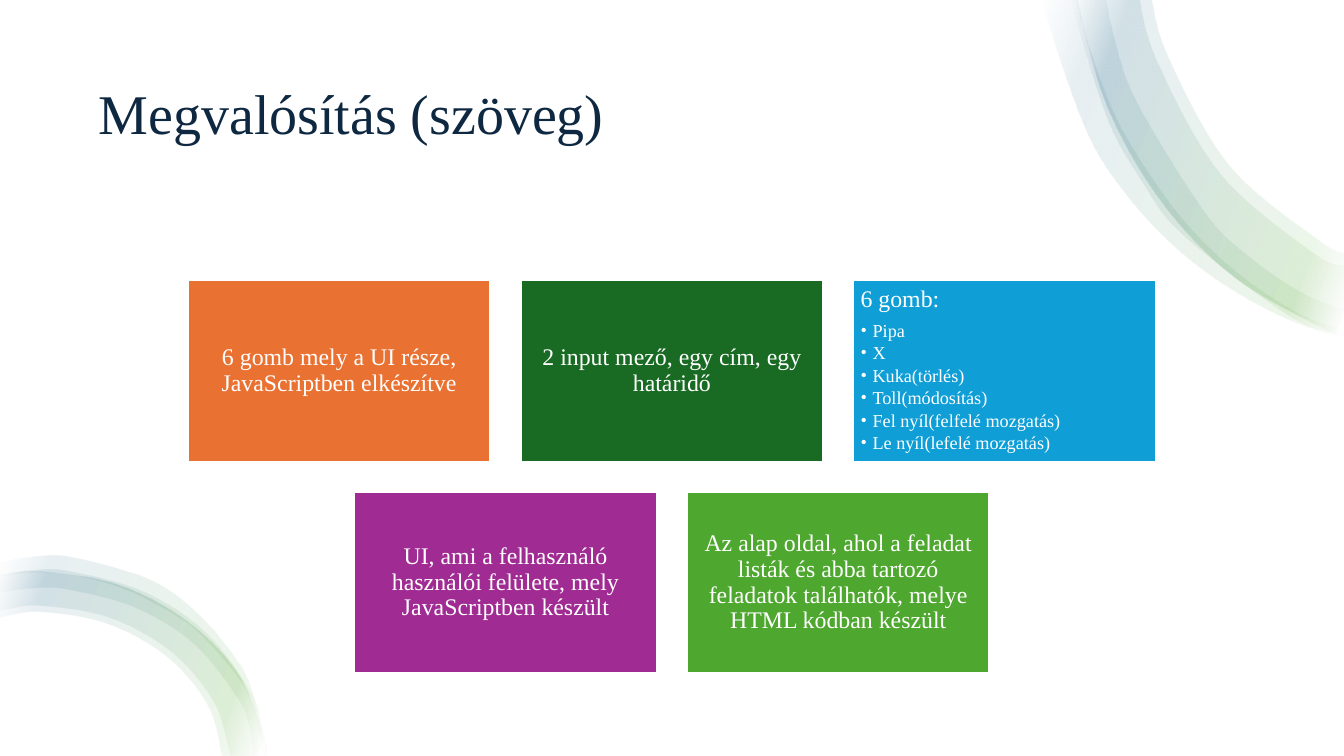
from lxml import etree
from pptx import Presentation
from pptx import util as u
from pptx.dml.color import RGBColor
from pptx.enum import shapes, text
from pptx.oxml import ns

FONT = "Times New Roman"
COLORS = {
    "white": "FFFFFF", "navy": "0E2841", "orange": "E97132", "forest": "196B24",
    "sky": "0F9ED5", "purple": "A02B93", "green": "4EA72E", "teal": "156082",
}
SLIDE = (13.33, 7.5)
RIBBON_STOPS = [(2, "white"), (16, "green"), (85, "teal"), (100, "white")]
RIBBON_OPACITY = 10

# Each ribbon is an outer and an inner edge, both given as knots in inches.
CORNER_OUTER = [(13.33, 3.32), (13.09, 3.24), (12.23, 2.74), (11.52, 2), (10.99, 1.07),
                (10.69, 0.04), (10.67, -0.09)]
TOP_RIBBONS = [
    ([(13.33, 3.35), (12.82, 3.19), (12.21, 2.87), (11.65, 2.45), (11.16, 1.92),
      (10.78, 1.31), (10.41, 0.26), (10.36, -0.09)],
     [(13.33, 3.28), (12.86, 3.1), (12.3, 2.73), (11.81, 2.27), (11.4, 1.73),
      (11.06, 1.15), (10.82, 0.52), (10.73, 0.19), (10.68, -0.09)]),
    (CORNER_OUTER,
     [(13.33, 2.51), (13.07, 2.38), (12.19, 1.64), (11.58, 0.55), (11.41, -0.09)]),
    ([(13.33, 3.33), (12.79, 3.14), (11.73, 2.33), (11.32, 1.79), (10.99, 1.19),
      (10.68, 0.2), (10.63, -0.09)],
     [(13.33, 3.08), (12.9, 2.9), (12.39, 2.55), (11.95, 2.11), (11.29, 1.04),
      (11.07, 0.44), (10.96, -0.09)]),
    (CORNER_OUTER,
     [(13.33, 2.64), (13.01, 2.5), (12.1, 1.72), (11.47, 0.59), (11.29, -0.09)]),
]
ARCH_OUTER = [(2.63, 7.5), (2.62, 7.35), (2.36, 6.69), (1.85, 6.16), (1.17, 5.8),
              (0.4, 5.67), (0, 5.72)]
BOTTOM_RIBBONS = [
    (ARCH_OUTER,
     [(2.2, 7.5), (2.06, 7), (1.66, 6.52), (1.07, 6.19), (0.4, 6.07), (0, 6.13)]),
    (ARCH_OUTER,
     [(2.28, 7.5), (2.12, 6.97), (1.7, 6.47), (1.09, 6.13), (0.4, 6.01), (0, 6.06)]),
    ([(2.63, 7.5), (2.59, 7.19), (2.47, 6.85), (2.03, 6.27), (1.42, 5.87),
      (0.69, 5.67), (0.31, 5.66), (0, 5.71)],
     [(2.51, 7.5), (2.47, 7.21), (2.34, 6.91), (1.92, 6.39), (1.34, 6.03),
      (0.67, 5.85), (0.33, 5.84), (0, 5.88)]),
    ([(2.64, 7.5), (2.5, 6.87), (2.33, 6.53), (1.96, 6.09), (1.48, 5.75),
      (0.71, 5.53), (0.31, 5.53), (0, 5.59)],
     [(2.62, 7.5), (2.52, 7.05), (2.36, 6.73), (2, 6.31), (1.71, 6.09),
      (1.22, 5.84), (0.69, 5.7), (0.32, 5.68), (0, 5.72)]),
]

BUTTONS = ["Pipa", "X", "Kuka(törlés)", "Toll(módosítás)",
           "Fel nyíl(felfelé mozgatás)", "Le nyíl(lefelé mozgatás)"]
TILE_ROWS = [
    [("orange", "6 gomb mely a UI része, JavaScriptben elkészítve", []),
     ("forest", "2 input mező, egy cím, egy határidő", []),
     ("sky", "6 gomb:", BUTTONS)],
    [("purple", "UI, ami a felhasználó használói felülete, mely JavaScriptben készült", []),
     ("green", "Az alap oldal, ahol a feladat listák és abba tartozó feladatok "
               "találhatók, melye HTML kódban készült", [])],
]
TILE_WIDTH, TILE_HEIGHT, TILE_GAP = 3, 1.8, 0.3


def rgb(name):
    return RGBColor.from_string(COLORS[name])


def set_all(target, values):
    for name, value in values.items():
        setattr(target, name, value)


def write(para, words, size, color, **format_values):
    set_all(para, {"line_spacing": 0.9, **format_values})
    span = para.add_run()
    span.text = words
    set_all(span.font, {"name": FONT, "size": u.Pt(size)})
    span.font.color.rgb = rgb(color)


def add_bullet(para):
    props = para._p.get_or_add_pPr()
    props.set("marL", str(u.Inches(0.12)))
    props.set("indent", str(u.Inches(-0.12)))
    etree.SubElement(props, ns.qn("a:buFont")).set("typeface", FONT)
    etree.SubElement(props, ns.qn("a:buChar")).set("char", "•")


def add_rectangle(parent, color, left, top, width, height):
    box = parent.shapes.add_shape(shapes.MSO_SHAPE.RECTANGLE,
                                  *map(u.Inches, (left, top, width, height)))
    box.shadow.inherit = False
    box.fill.solid()
    box.fill.fore_color.rgb = rgb(color)
    box.line.fill.background()
    return box


def add_backdrop(page):
    backdrop = add_rectangle(page, "white", 0, 0, *SLIDE)
    page.shapes.title._element.addprevious(backdrop._element)


def curve_edge(steps):
    """Turn the straight steps along one edge into Catmull-Rom curves."""
    knots = [(int(step[0].get("x")), int(step[0].get("y"))) for step in steps]
    padded = [knots[0], *knots, knots[-1]]
    for step, a, b, c, d in zip(steps[1:], padded, padded[1:], padded[2:], padded[3:]):
        curve = etree.Element(ns.qn("a:cubicBezTo"))
        leave = [q + (r - p) / 6 for p, q, r in zip(a, b, c)]
        arrive = [r - (s - q) / 6 for q, r, s in zip(b, c, d)]
        for x, y in (leave, arrive, c):
            etree.SubElement(curve, ns.qn("a:pt"), x=str(round(x)), y=str(round(y)))
        step.getparent().replace(step, curve)


def fill_ribbon(ribbon):
    ribbon.fill.gradient()
    ribbon.fill.gradient_angle = 160
    stops = ribbon._element.spPr.find(ns.qn("a:gradFill")).find(ns.qn("a:gsLst"))
    for stop in list(stops):
        stops.remove(stop)
    for percent, color in RIBBON_STOPS:
        stop = etree.SubElement(stops, ns.qn("a:gs"), pos=str(percent * 1000))
        tint = etree.SubElement(stop, ns.qn("a:srgbClr"), val=COLORS[color])
        etree.SubElement(tint, ns.qn("a:alpha"), val=str(RIBBON_OPACITY * 1000))


def add_ribbons(page, ribbons):
    group = page.shapes.add_group_shape()
    for outer, inner in ribbons:
        start, *rest = [(u.Inches(x), u.Inches(y)) for x, y in outer + inner[::-1]]
        builder = group.shapes.build_freeform(*start)
        builder.add_line_segments(rest, close=True)
        ribbon = builder.convert_to_shape()
        outline = next(ribbon._element.iter(ns.qn("a:path")))
        steps = [step for step in outline if len(step)]
        curve_edge(steps[:len(outer)])
        curve_edge(steps[len(outer):len(outer) + len(inner)])
        ribbon.shadow.inherit = False
        ribbon.line.fill.background()
        fill_ribbon(ribbon)


def add_title(page, left, top, width, height):
    title = page.shapes.title
    set_all(title, {"left": u.Inches(left), "top": u.Inches(top),
                    "width": u.Inches(width), "height": u.Inches(height)})
    title.text_frame.vertical_anchor = text.MSO_ANCHOR.MIDDLE
    write(title.text_frame.paragraphs[0], "Megvalósítás (szöveg)", 40, "navy",
          alignment=text.PP_ALIGN.LEFT)


def add_tile(group, left, top, color, words, bullets):
    tile = add_rectangle(group, color, left, top, TILE_WIDTH, TILE_HEIGHT)
    tile.line.color.rgb = rgb("white")
    tile.line.width = u.Pt(1.5)

    frame = tile.text_frame
    margins = ("margin_left", "margin_top", "margin_right", "margin_bottom")
    set_all(frame, dict.fromkeys(margins, u.Inches(0.07)))
    frame.word_wrap = True
    frame.vertical_anchor = text.MSO_ANCHOR.TOP if bullets else text.MSO_ANCHOR.MIDDLE
    align = text.PP_ALIGN.LEFT if bullets else text.PP_ALIGN.CENTER
    write(frame.paragraphs[0], words, 17, "white", alignment=align, space_after=u.Pt(6))
    for bullet in bullets:
        para = frame.add_paragraph()
        write(para, bullet, 13, "white", alignment=align, space_after=u.Pt(2), level=1)
        add_bullet(para)


def add_tile_rows(page, left, top, width):
    """Stack the rows of tiles, each row centred in the width."""
    group = page.shapes.add_group_shape()
    for row, tiles in enumerate(TILE_ROWS):
        row_width = len(tiles) * (TILE_WIDTH + TILE_GAP) - TILE_GAP
        row_left = left + (width - row_width) / 2
        for column, tile in enumerate(tiles):
            add_tile(group, row_left + column * (TILE_WIDTH + TILE_GAP),
                     top + row * (TILE_HEIGHT + TILE_GAP), *tile)


def main():
    deck = Presentation()
    deck.slide_width, deck.slide_height = map(u.Inches, SLIDE)
    page = deck.slides.add_slide(deck.slide_layouts[5])
    add_backdrop(page)
    add_title(page, 0.88, 0.5, 11.57, 1.3)
    add_ribbons(page, TOP_RIBBONS)
    add_ribbons(page, BOTTOM_RIBBONS)
    add_tile_rows(page, 0, 2.78, SLIDE[0])
    deck.save("out.pptx")


if __name__ == "__main__":
    main()
